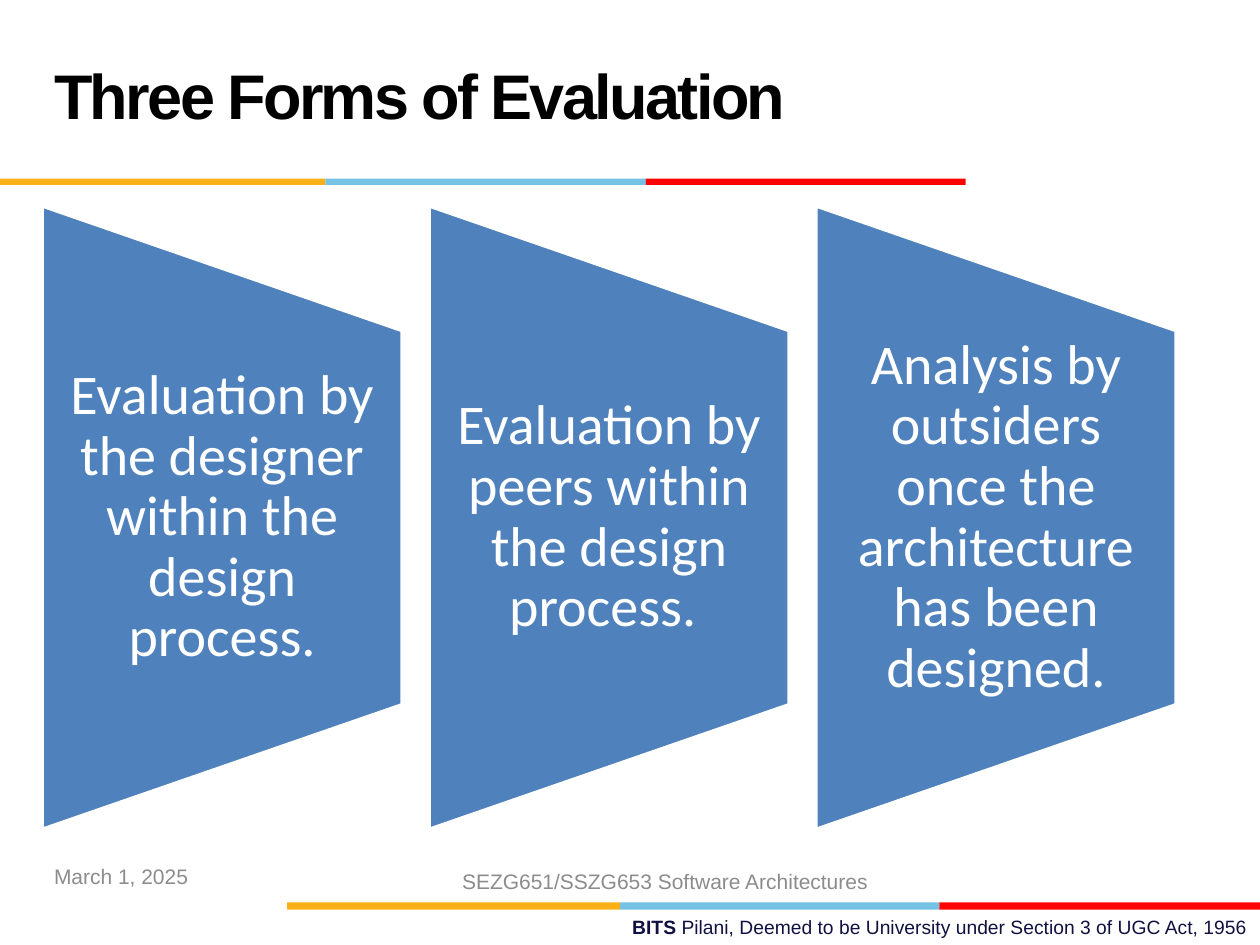
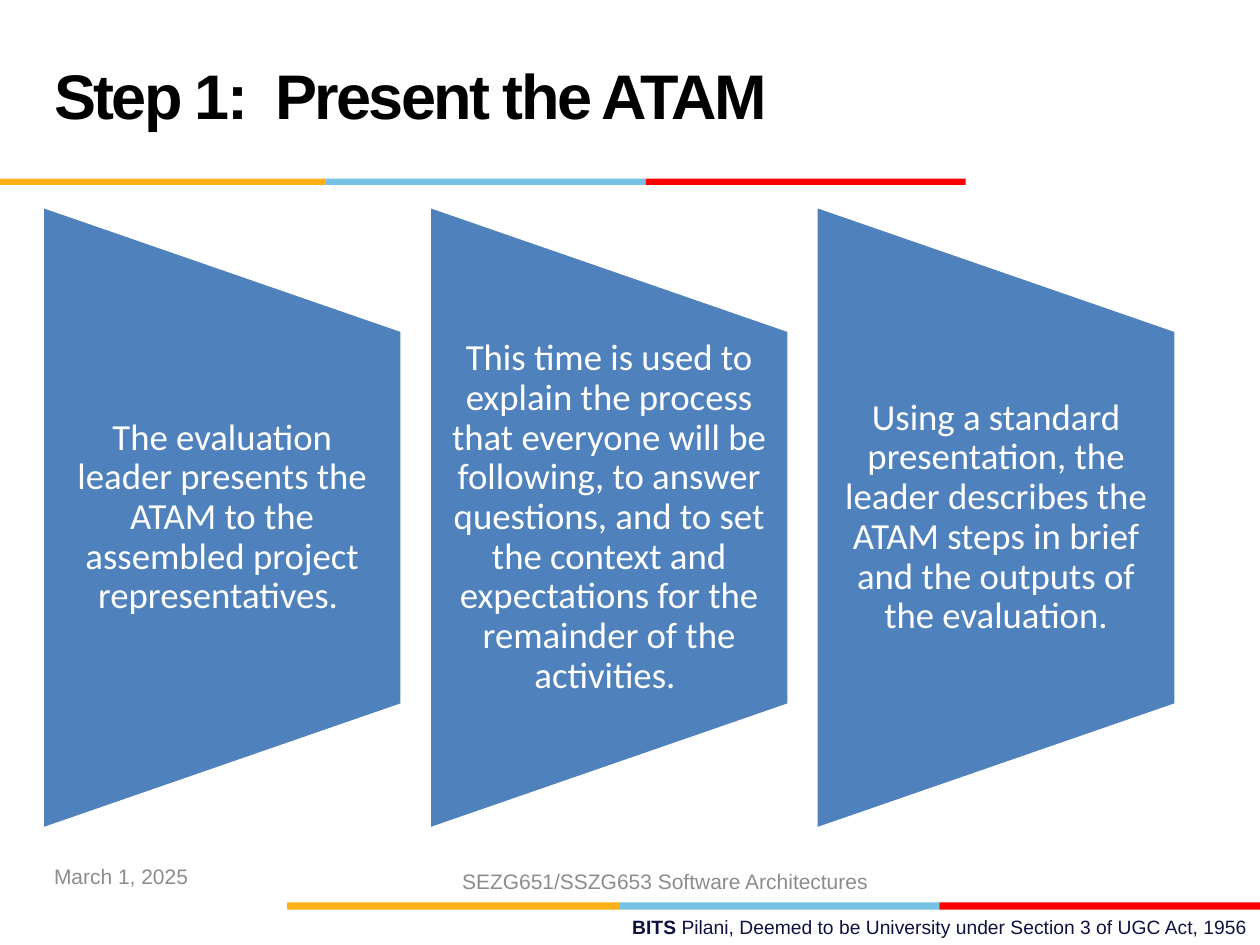
from pptx import Presentation
from pptx import util as u
from pptx.dml.color import RGBColor
from pptx.enum import shapes, text

SLIDES = [
    {"title": "Three Forms of Evaluation", "size": 32, "inset": 0.56,
     "panels": ["Evaluation by the designer within the design process.",
                "Evaluation by peers within the design process. ",
                "Analysis by outsiders once the architecture has been designed."]},
    {"title": "Step 1:  Present the ATAM", "size": 21, "inset": 0.38,
     "panels": ["The evaluation leader presents the ATAM to the assembled project "
                "representatives. ",
                "This time is used to explain the process that everyone will be "
                "following, to answer questions, and to set the context and "
                "expectations for the remainder of the activities. ",
                "Using a standard presentation, the leader describes the ATAM steps "
                "in brief and the outputs of the evaluation."]},
]
DATE = "March 1, 2025"
COURSE = "SEZG651/SSZG653 Software Architectures"
UNIVERSITY = [("BITS ", True),
              ("Pilani, Deemed to be University under Section 3 of UGC Act, 1956", False)]

BLACK, WHITE, GREY, NAVY, BLUE = "000000", "FFFFFF", "8C8C8C", "101141", "4F81BD"
BAND_COLOURS = ["FCB017", "76C2E5", "FF0000"]
TITLE_BAND = (3.6, 0.13, [0, 6.56, 13.02, 19.47])
FOOTER_BAND = (18.19, 0.15, [5.79, 12.5, 18.94, 25.4])
PANEL_LEFT, PANEL_TOP, PANEL_W, PANEL_H, PANEL_STEP = 0.85, 4.15, 7.26, 12.57, 7.8
CAPTION_H = 7.54
LEFT, CENTRE, RIGHT = text.PP_ALIGN.LEFT, text.PP_ALIGN.CENTER, text.PP_ALIGN.RIGHT


def colour(value):
    return RGBColor.from_string(value)


def write(tf, runs, size, hue, font="Arial", align=LEFT, inset=0.25, pad=0.13):
    tf.word_wrap = True
    tf.auto_size = text.MSO_AUTO_SIZE.NONE
    tf.vertical_anchor = text.MSO_ANCHOR.MIDDLE
    tf.margin_left = tf.margin_right = u.Cm(inset)
    tf.margin_top = tf.margin_bottom = u.Cm(pad)
    p = tf.paragraphs[0]
    p.alignment = align
    for words, bold in runs:
        r = p.add_run()
        r.text = words
        r.font.name, r.font.size, r.font.bold = font, u.Pt(size), bold
        r.font.color.rgb = colour(hue)
    return p


def add_text(slide, box, runs, size, hue, **style):
    sp = slide.shapes.add_textbox(*map(u.Cm, box))
    return write(sp.text_frame, runs, size, hue, **style)


def add_filled(slide, kind, box, hue):
    sp = slide.shapes.add_shape(kind, *map(u.Cm, box))
    sp.shadow.inherit = False
    sp.fill.solid()
    sp.fill.fore_color.rgb = colour(hue)
    sp.line.fill.background()
    return sp


def add_band(slide, top, height, edges):
    for start, end, hue in zip(edges, edges[1:], BAND_COLOURS):
        add_filled(slide, shapes.MSO_SHAPE.RECTANGLE, (start, top, end - start, height), hue)


def add_title(slide, words):
    sp = slide.shapes.title
    sp.left, sp.top, sp.width, sp.height = map(u.Cm, (0.84, 0.43, 17.58, 3.18))
    p = write(sp.text_frame, [(words, True)], 36, BLACK)
    p.line_spacing = u.Pt(36)
    p.runs[0].font._element.set("spc", "-150")


def add_frame(slide):
    add_text(slide, (9.09, 18.31, 16.31, 0.74), UNIVERSITY, 11, NAVY, align=RIGHT)
    add_band(slide, *FOOTER_BAND)
    add_band(slide, *TITLE_BAND)
    add_text(slide, (0.84, 17.15, 5.92, 1.02), [(DATE, False)], 12, GREY)
    add_text(slide, (8.84, 17.25, 9.14, 1.02), [(COURSE, False)], 12, GREY, align=CENTRE)


def add_panel(slide, index, words, size, inset):
    left = PANEL_LEFT + index * PANEL_STEP
    middle = PANEL_TOP + PANEL_H / 2
    box = (left + (PANEL_W - PANEL_H) / 2, middle - PANEL_W / 2, PANEL_H, PANEL_W)
    sp = add_filled(slide, shapes.MSO_SHAPE.FLOWCHART_MANUAL_OPERATION, box, BLUE)
    sp.rotation = 270
    sp.line.color.rgb = colour(WHITE)
    sp.line.width = u.Pt(2)
    p = add_text(slide, (left, middle - CAPTION_H / 2, PANEL_W, CAPTION_H), [(words, False)],
                 size, WHITE, font="Calibri", align=CENTRE, inset=inset, pad=0)
    p.line_spacing = 0.9


def main():
    prs = Presentation()
    prs.slide_width, prs.slide_height = u.Cm(25.4), u.Cm(19.05)
    for content in SLIDES:
        slide = prs.slides.add_slide(prs.slide_layouts[5])
        add_frame(slide)
        add_title(slide, content["title"])
        for index, words in enumerate(content["panels"]):
            add_panel(slide, index, words, content["size"], content["inset"])
    prs.save("out.pptx")


if __name__ == "__main__":
    main()
